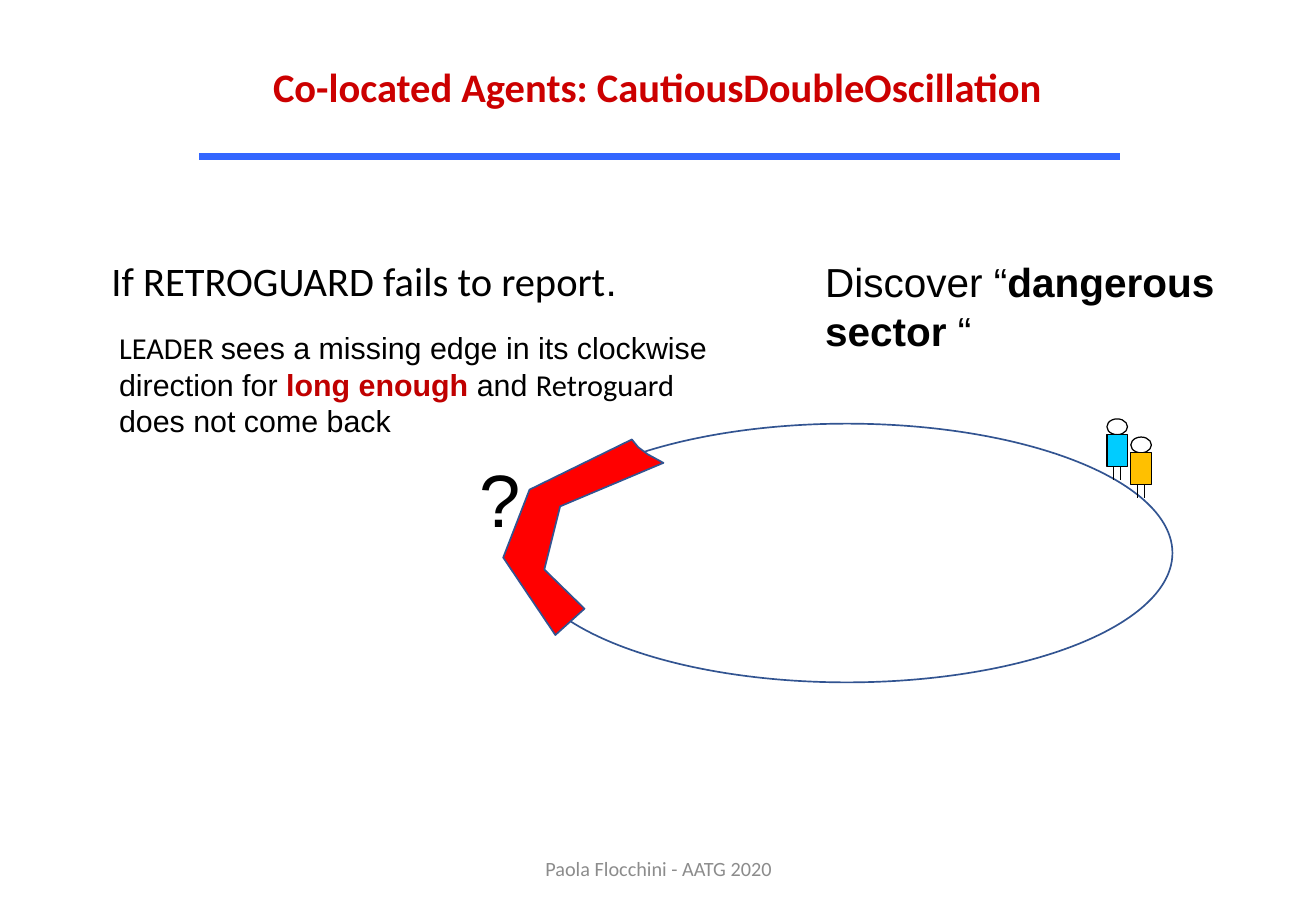
from pptx import Presentation
from pptx.dml.color import RGBColor
from pptx.enum.shapes import MSO_CONNECTOR, MSO_SHAPE
from pptx.enum.text import MSO_ANCHOR, PP_ALIGN
from pptx.oxml.ns import qn
from pptx.util import Cm, Pt
from lxml import etree

BLACK = RGBColor(0x00, 0x00, 0x00)
GRAY = RGBColor(0x8C, 0x8C, 0x8C)
CRIMSON = RGBColor(0xCC, 0x00, 0x00)
DARK = RGBColor(0xC0, 0x00, 0x00)
RED = RGBColor(0xFF, 0x00, 0x00)
BLUE = RGBColor(0x33, 0x66, 0xFF)
NAVY = RGBColor(0x32, 0x54, 0x91)
CYAN = RGBColor(0x00, 0xCC, 0xFF)
AMBER = RGBColor(0xFF, 0xC0, 0x00)

deck = Presentation()
deck.slide_width, deck.slide_height = Cm(27.51), Cm(19.05)
slide = deck.slides.add_slide(deck.slide_layouts[5])
shapes = slide.shapes


def style(shape, fill, color, width):
    shape.shadow.inherit = False
    if fill is None:
        shape.fill.background()
    else:
        shape.fill.solid()
        shape.fill.fore_color.rgb = fill
    shape.line.color.rgb = color
    shape.line.width = Pt(width)


def rule(x1, y1, x2, y2, color, width):
    line = shapes.add_connector(
        MSO_CONNECTOR.STRAIGHT, Cm(x1), Cm(y1), Cm(x2), Cm(y2))
    line.line.color.rgb = color
    line.line.width = Pt(width)
    etree.SubElement(line._element.spPr, qn("a:effectLst"))


title = shapes.title
title.left, title.top = Cm(5.44), Cm(1.17)
title.width, title.height = Cm(16.61), Cm(1.28)

rule(4.17, 3.28, 23.42, 3.28, BLUE, 4)

ring = shapes.add_shape(MSO_SHAPE.OVAL, Cm(10.9), Cm(8.86), Cm(13.61), Cm(5.41))
style(ring, None, NAVY, 1)

edge = [(13.87, 9.68), (13.54, 9.5), (13.34, 9.35), (13.21, 9.19),
        (11.07, 10.24), (10.52, 11.66), (11.61, 13.28), (12.22, 12.73),
        (11.38, 11.91), (11.71, 10.59)]
points = [(Cm(x), Cm(y)) for x, y in edge]
pen = shapes.build_freeform(*points[0])
pen.add_line_segments(points[1:], close=True)
sector = pen.convert_to_shape()
style(sector, RED, NAVY, 1)

for x, y, color in [(23.14, 8.76, CYAN), (23.64, 9.14, AMBER)]:
    head = shapes.add_shape(MSO_SHAPE.OVAL, Cm(x), Cm(y), Cm(0.43), Cm(0.33))
    style(head, None, BLACK, 0.75)
    trunk = shapes.add_shape(
        MSO_SHAPE.RECTANGLE, Cm(x), Cm(y + 0.33), Cm(0.43), Cm(0.66))
    style(trunk, color, BLACK, 0.75)
    for leg in (0.14, 0.28):
        rule(x + leg, y + 0.99, x + leg, y + 1.27, BLACK, 0.75)

boxes = [shapes.add_textbox(Cm(x), Cm(y), Cm(w), Cm(h)) for x, y, w, h in [
    (2.08, 5.23, 12.5, 1.28),
    (2.24, 6.76, 13.77, 2.57),
    (17, 5.26, 9.4, 2.3),
    (9.78, 9.35, 1.24, 2.13),
    (9.12, 17.65, 9.3, 1.02)]]
fails, missing, found, doubt, footer = boxes

texts = [
    (title, 24, PP_ALIGN.CENTER, [
        [("Co-located Agents: CautiousDoubleOscillation", "Calibri", CRIMSON, True)]]),
    (fails, 24, PP_ALIGN.LEFT, [
        [("If RETROGUARD fails to report", "Calibri", BLACK, False),
         (".", "Arial", BLACK, False)]]),
    (missing, 18, PP_ALIGN.LEFT, [
        [("LEADER ", "Calibri", BLACK, False),
         ("sees a missing edge in its clockwise direction for ", "Arial", BLACK, False),
         ("long enough ", "Arial", DARK, True),
         ("and ", "Arial", BLACK, False),
         ("Retroguard", "Calibri", BLACK, False)],
        [("does not come back", "Arial", BLACK, False)]]),
    (found, 24, PP_ALIGN.LEFT, [
        [("Discover “", "Arial", BLACK, False),
         ("dangerous sector", "Arial", BLACK, True),
         (" “", "Arial", BLACK, False)]]),
    (doubt, 44, PP_ALIGN.LEFT, [[("?", "Arial", BLACK, False)]]),
    (footer, 12, PP_ALIGN.CENTER, [
        [("Paola Flocchini - AATG 2020", "Calibri", GRAY, False)]])]

for box, size, align, paras in texts:
    frame = box.text_frame
    frame.word_wrap = box is not doubt
    for i, runs in enumerate(paras):
        para = frame.add_paragraph() if i else frame.paragraphs[0]
        para.alignment = align
        for words, face, color, bold in runs:
            run = para.add_run()
            run.text = words
            run.font.name = face
            run.font.size = Pt(size)
            run.font.bold = bold
            run.font.color.rgb = color

footer.text_frame.vertical_anchor = MSO_ANCHOR.MIDDLE

deck.save("out.pptx")
